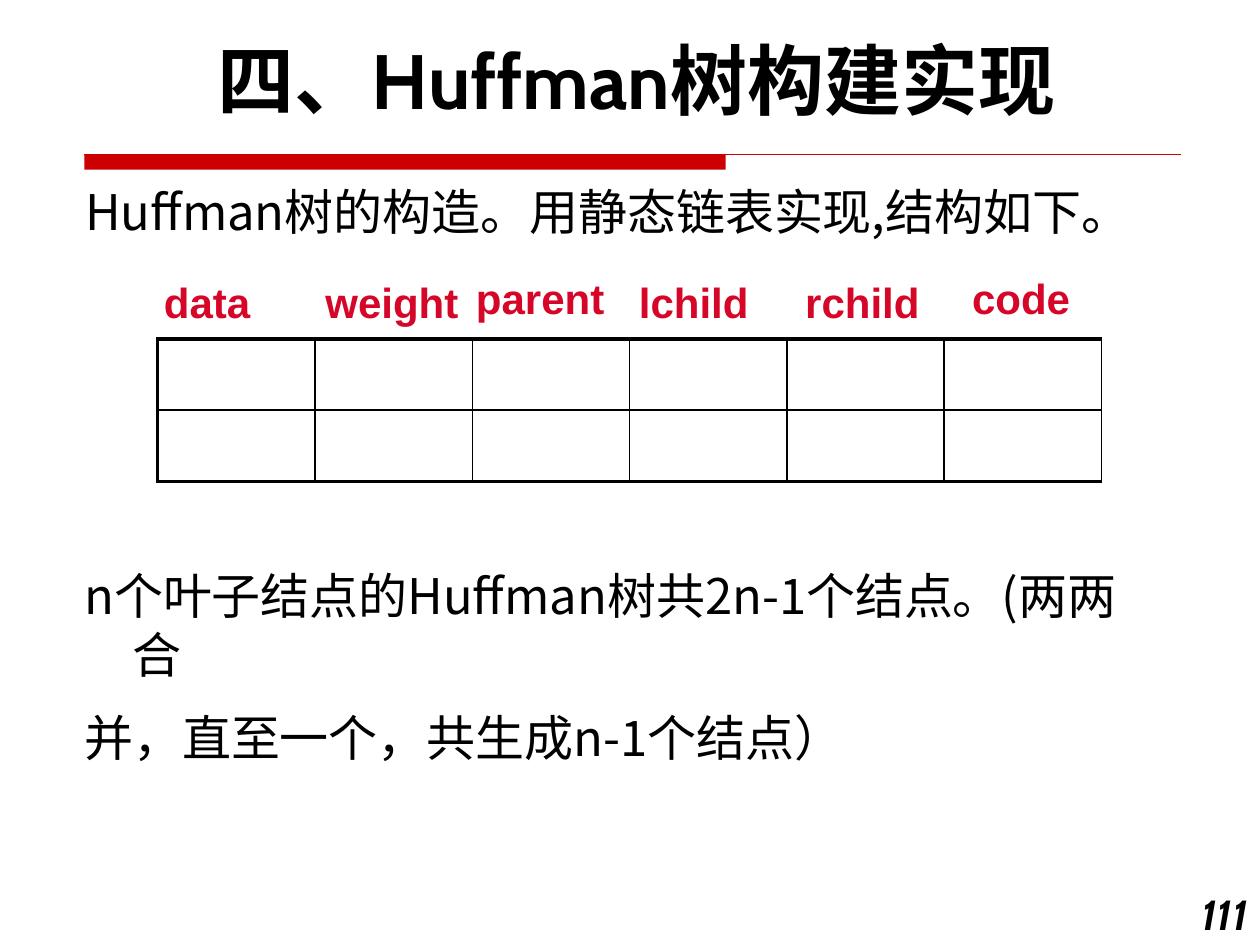
from dataclasses import dataclass

from lxml.etree import SubElement
from pptx import Presentation
from pptx.dml.color import RGBColor as Rgb
from pptx.enum.shapes import MSO_CONNECTOR as Connector, MSO_SHAPE as Shape
from pptx.enum.text import MSO_AUTO_SIZE as AutoSize, PP_ALIGN as Align
from pptx.oxml.ns import qn
from pptx.util import Cm, Pt


@dataclass(frozen=True)
class Theme:
    black: Rgb = Rgb(0x00, 0x00, 0x00)
    rule: Rgb = Rgb(0xCC, 0x00, 0x00)
    label: Rgb = Rgb(0xD6, 0x06, 0x29)
    heading_font: str = "Cabin"
    label_font: str = "Arial"
    body_font: str = "Noto Sans CJK SC"
    title_size: int = 44
    body_size: int = 28
    small_size: int = 24
    thin: float = 1
    thick: float = 2.25


theme = Theme()


def add_text(place, lines, font, size, color=theme.black, bold=False,
             italic=False, align=Align.LEFT, hanging=False, wrap=True):
    box = page.shapes.add_textbox(*map(Cm, place))
    frame = box.text_frame
    frame.word_wrap = wrap
    frame.auto_size = AutoSize.SHAPE_TO_FIT_TEXT
    for index, line in enumerate(lines):
        para = frame.add_paragraph() if index else frame.paragraphs[0]
        para.alignment = align
        if index:
            para.space_before = Pt(size / 2)
        if hanging:
            props = para._p.get_or_add_pPr()
            props.set("marL", str(Cm(0.97)))
            props.set("indent", str(-Cm(0.97)))
        span = para.add_run()
        span.text = line
        span.font.name = font
        span.font.size = Pt(size)
        span.font.bold = bold
        span.font.italic = italic
        span.font.color.rgb = color
        east_asian = SubElement(span._r.get_or_add_rPr(), qn("a:ea"))
        east_asian.set("typeface", theme.body_font)


def add_border(cell, side, width):
    line = SubElement(cell._tc.get_or_add_tcPr(), qn(f"a:ln{side}"), w=str(Pt(width)))
    fill = SubElement(line, qn("a:solidFill"))
    SubElement(fill, qn("a:srgbClr"), val=str(theme.black))


deck = Presentation()
deck.slide_width, deck.slide_height = Cm(25.4), Cm(19.05)
page = deck.slides.add_slide(deck.slide_layouts[6])

# Red rule under the title: a short bar and a thin line
left, top = Cm(1.7), Cm(3.12)
bar = page.shapes.add_shape(Shape.RECTANGLE, left, top, Cm(12.93), Cm(0.3))
bar.shadow.inherit = False
bar.fill.solid()
bar.fill.fore_color.rgb = theme.rule
bar.line.fill.background()
rule = page.shapes.add_connector(Connector.STRAIGHT, left, top, Cm(23.8), top)
rule.line.color.rgb = theme.rule
rule.line.width = Pt(0.75)
SubElement(rule._element.spPr, qn("a:effectLst"))

# Page number
add_text((23.7, 17.78, 1.7, 1.27), ["111"], theme.heading_font, theme.small_size,
         bold=True, italic=True, align=Align.RIGHT)

# Empty node table, thick on the left, top and bottom edges
rows, columns = 2, 6
table = page.shapes.add_table(rows, columns, Cm(3.18), Cm(6.83),
                              Cm(19.02), Cm(2.88)).table
table.first_row = table.horz_banding = False
for row in range(rows):
    for column in range(columns):
        cell = table.cell(row, column)
        edges = {"L": column == 0, "R": False, "T": row == 0, "B": row == rows - 1}
        for side, outer in edges.items():
            add_border(cell, side, theme.thick if outer else theme.thin)
        cell.fill.background()

# Field names above the columns
fields = [
    ("data", 2.18, 5.44, 3.99),
    ("weight", 6.2, 5.44, 3.4),
    ("parent", 9.19, 5.36, 3.4),
    ("lchild", 11.99, 5.44, 3.99),
    ("rchild", 15.39, 5.44, 3.99),
    ("code", 18.59, 5.36, 3.99),
]
for name, x, y, width in fields:
    add_text((x, y, width, 1.27), [name], theme.label_font, theme.small_size,
             theme.label, bold=True, align=Align.CENTER, hanging=True)

# Body text
add_text((1.47, 3.53, 21.56, 1.45), ["Huffman树的构造。用静态链表实现,结构如下。"],
         theme.body_font, theme.body_size, wrap=False)
add_text((1.45, 11.28, 22.2, 3.25),
         ["n个叶子结点的Huffman树共2n-1个结点。(两两合",
          "并，直至一个，共生成n-1个结点）"],
         theme.body_font, theme.body_size, hanging=True)

# Title
add_text((1.09, 0.53, 23.5, 2.13), ["四、Huffman树构建实现"], theme.heading_font,
         theme.title_size, bold=True, align=Align.CENTER)

deck.save("out.pptx")
